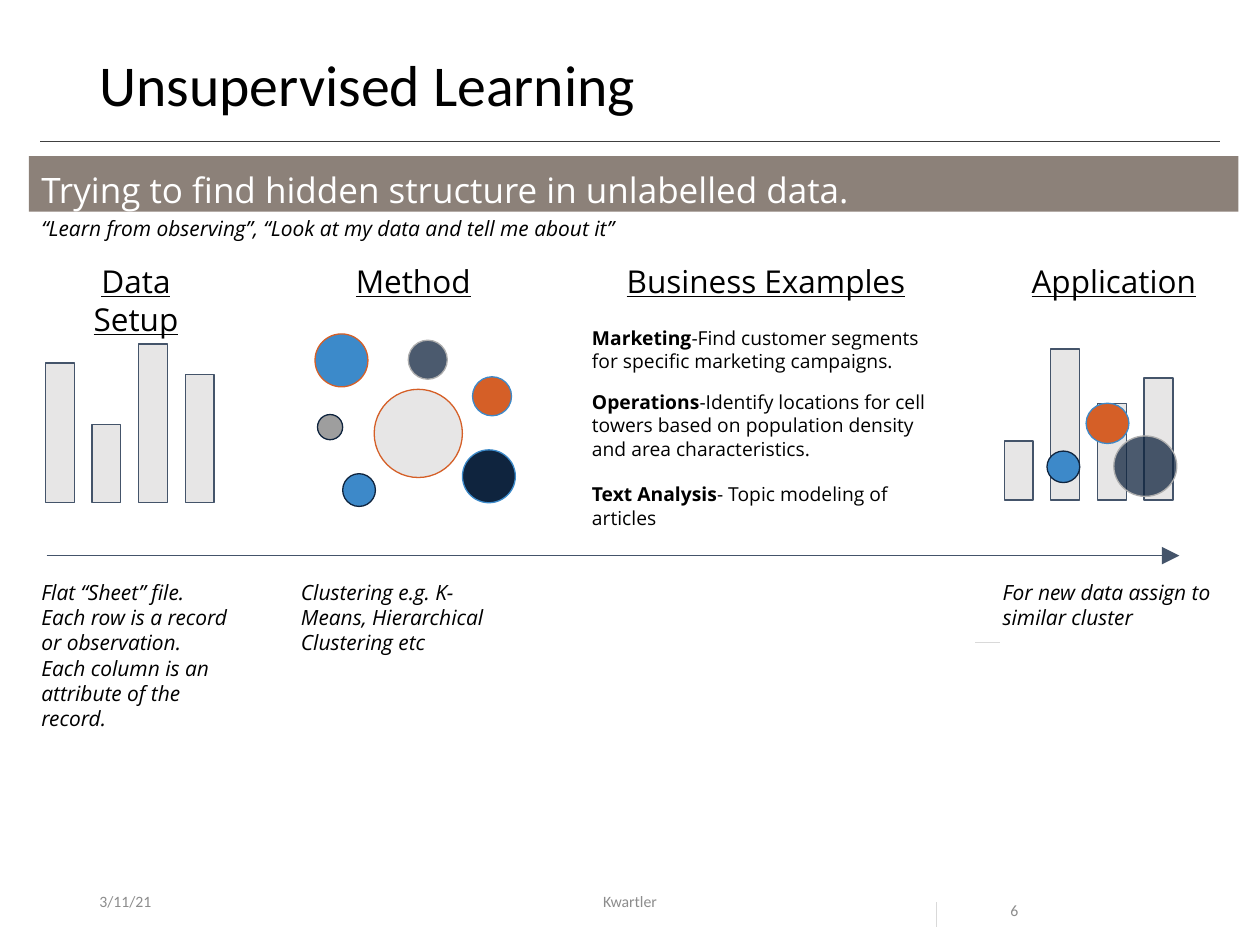
from lxml.etree import SubElement
from pptx import Presentation
from pptx.dml.color import RGBColor
from pptx.enum.shapes import MSO_CONNECTOR, MSO_SHAPE
from pptx.enum.text import MSO_ANCHOR, PP_ALIGN
from pptx.oxml.ns import qn
from pptx.util import Inches, Pt

SLATE, NAVY, BLUE, SKY = "44546A", "0F243E", "3C8ACA", "3D89C9"
ORANGE, PALE, SILVER, GRAY = "D55F27", "E7E6E6", "AEAEAE", "8C8C8C"

BANNER = "Trying to find hidden structure in unlabelled data."
QUOTE = "“Learn from observing”, “Look at my data and tell me about it”"
HEADINGS = [
    ("Data Setup", 0.43, 1.3),
    ("Method", 2.66, 1.24),
    ("Business Examples", 4.6, 2.96),
    ("Application", 8.03, 1.62),
]
EXAMPLES = [
    ("Marketing", "-Find customer segments for specific marketing campaigns.",
     2.49, 0.57, MSO_ANCHOR.TOP),
    ("Operations", "-Identify locations for cell towers based on population density "
     "and area characteristics.", 2.99, 0.77, MSO_ANCHOR.MIDDLE),
    ("Text Analysis", "- Topic modeling of articles", 3.63, 0.77, MSO_ANCHOR.MIDDLE),
]
CAPTIONS = [
    ("Flat “Sheet” file.\nEach row is a record or observation.\n"
     "Each column is an attribute of the record.", 0.23, 1.71),
    ("Clustering e.g. K-Means, Hierarchical Clustering etc", 2.29, 1.71),
    ("For new data assign to similar cluster", 7.86, 2),
]
BAR_GROUPS = [
    (7.97, 3.97, [0.47, 1.2, 0.77, 0.97]),
    (0.36, 3.99, [1.11, 0.62, 1.26, 1.02]),
]
BAR_WIDTH, BAR_STEP = 0.23, 0.37
CIRCLES = [
    (2.97, 3.09, 0.7, 0.7, PALE, ORANGE, 100),
    (2.5, 2.65, 0.42, 0.42, BLUE, ORANGE, 100),
    (3.24, 2.7, 0.31, 0.31, NAVY, SILVER, 75),
    (3.75, 2.99, 0.31, 0.31, ORANGE, SKY, 100),
    (2.52, 3.29, 0.2, 0.2, "9E9E9E", NAVY, 100),
    (3.67, 3.57, 0.42, 0.42, NAVY, BLUE, 100),
    (2.72, 3.76, 0.26, 0.26, SKY, NAVY, 100),
    (8.62, 3.2, 0.34, 0.32, ORANGE, SKY, 100),
    (8.84, 3.46, 0.5, 0.48, NAVY, SILVER, 75),
    (8.31, 3.58, 0.26, 0.25, SKY, NAVY, 100),
]
FOOTERS = [
    ("3/11/21", 0.69, 2.25, {"anchor": MSO_ANCHOR.MIDDLE}),
    ("Kwartler", 3.31, 3.38, {"anchor": MSO_ANCHOR.MIDDLE, "align": PP_ALIGN.CENTER}),
    ("6", 7.92, 0.94, {"spacing": 2}),
]
LINES = [
    (0.32, 1.12, 9.68, 1.12, "404040", 0.5, False),
    (0.37, 4.41, 9.36, 4.41, SLATE, 0.75, True),
    (7.43, 7.16, 7.43, 7.36, "D9D9D9", 0.5, False),
    (7.74, 5.1, 7.94, 5.1, "D9D9D9", 0.5, False),
]

prs = Presentation()
prs.slide_width, prs.slide_height = Inches(10), Inches(7.5)
s = prs.slides.add_slide(prs.slide_layouts[6])


def rgb(color):
    return RGBColor.from_string(color)


def add_shape(kind, x, y, w, h, fill, line=None, alpha=100):
    sp = s.shapes.add_shape(kind, Inches(x), Inches(y), Inches(w), Inches(h))
    sp.shadow.inherit = False
    sp.fill.solid()
    sp.fill.fore_color.rgb = rgb(fill)
    if alpha < 100:
        clr = sp.fill._xPr.find(qn("a:solidFill"))[0]
        SubElement(clr, qn("a:alpha")).set("val", str(alpha * 1000))
    if line:
        sp.line.color.rgb = rgb(line)
        sp.line.width = Pt(0.75)
    else:
        sp.line.fill.background()
    return sp


def add_text(text, x, y, w, h, *, lead="", sp=None, size=12, font="Open Sans",
             color="000000", italic=False, underline=False, inset=0.1,
             align=PP_ALIGN.LEFT, anchor=MSO_ANCHOR.TOP, spacing=None):
    sp = sp or s.shapes.add_textbox(Inches(x), Inches(y), Inches(w), Inches(h))
    tf = sp.text_frame
    tf.word_wrap = True
    tf.vertical_anchor = anchor
    tf.margin_left = tf.margin_right = Inches(0.1)
    tf.margin_top = tf.margin_bottom = Inches(inset)
    p = tf.paragraphs[0]
    p.alignment = align
    if spacing:
        p.line_spacing = spacing
    runs = [(lead, True)] if lead else []
    runs += [(part, False) for part in text.split("\n")]
    for i, (part, bold) in enumerate(runs):
        if i and not lead:
            p.add_line_break()
        r = p.add_run()
        r.text = part
        r.font.name, r.font.size, r.font.color.rgb = font, Pt(size), rgb(color)
        r.font.bold, r.font.italic, r.font.underline = bold, italic, underline


def add_line(x1, y1, x2, y2, color, width, arrow):
    c = s.shapes.add_connector(MSO_CONNECTOR.STRAIGHT, Inches(x1), Inches(y1),
                               Inches(x2), Inches(y2))
    c.line.color.rgb = rgb(color)
    c.line.width = Pt(width)
    if arrow:
        tail = SubElement(c.line._get_or_add_ln(), qn("a:tailEnd"))
        for key, value in (("type", "triangle"), ("w", "lg"), ("len", "lg")):
            tail.set(key, value)
    SubElement(c._element.spPr, qn("a:effectLst"))


add_text("Unsupervised Learning", 0.69, 0.4, 8.62, 0.65, size=33, font="Calibri",
         inset=0.05, spacing=0.9)
for text, x, w, style in FOOTERS:
    add_text(text, x, 6.95, w, 0.4, size=9, font="Calibri", color=GRAY, inset=0.05, **style)

banner_box = (0.23, 1.24, 9.6, 0.44)
banner = add_shape(MSO_SHAPE.RECTANGLE, *banner_box, "8C8179")
add_text(BANNER, *banner_box, sp=banner, size=20, color="FFFFFF")
add_text(QUOTE, 0.23, 1.61, 9.6, 0.27, italic=True)

for text, x, w in HEADINGS:
    add_text(text, x, 1.98, w, 0.47, size=18, underline=True, align=PP_ALIGN.CENTER)
for lead, text, y, h, anchor in EXAMPLES:
    add_text(text, 4.6, y, 2.87, h, lead=lead, size=11, anchor=anchor)
for text, x, w in CAPTIONS:
    add_text(text, x, 4.5, w, 1.03, italic=True)

for left, base, heights in BAR_GROUPS:
    for i, height in enumerate(heights):
        add_shape(MSO_SHAPE.RECTANGLE, left + i * BAR_STEP, base - height,
                  BAR_WIDTH, height, PALE, SLATE)
for x, y, w, h, fill, line, alpha in CIRCLES:
    add_shape(MSO_SHAPE.OVAL, x, y, w, h, fill, line, alpha)
for line in LINES:
    add_line(*line)

prs.save("out.pptx")
